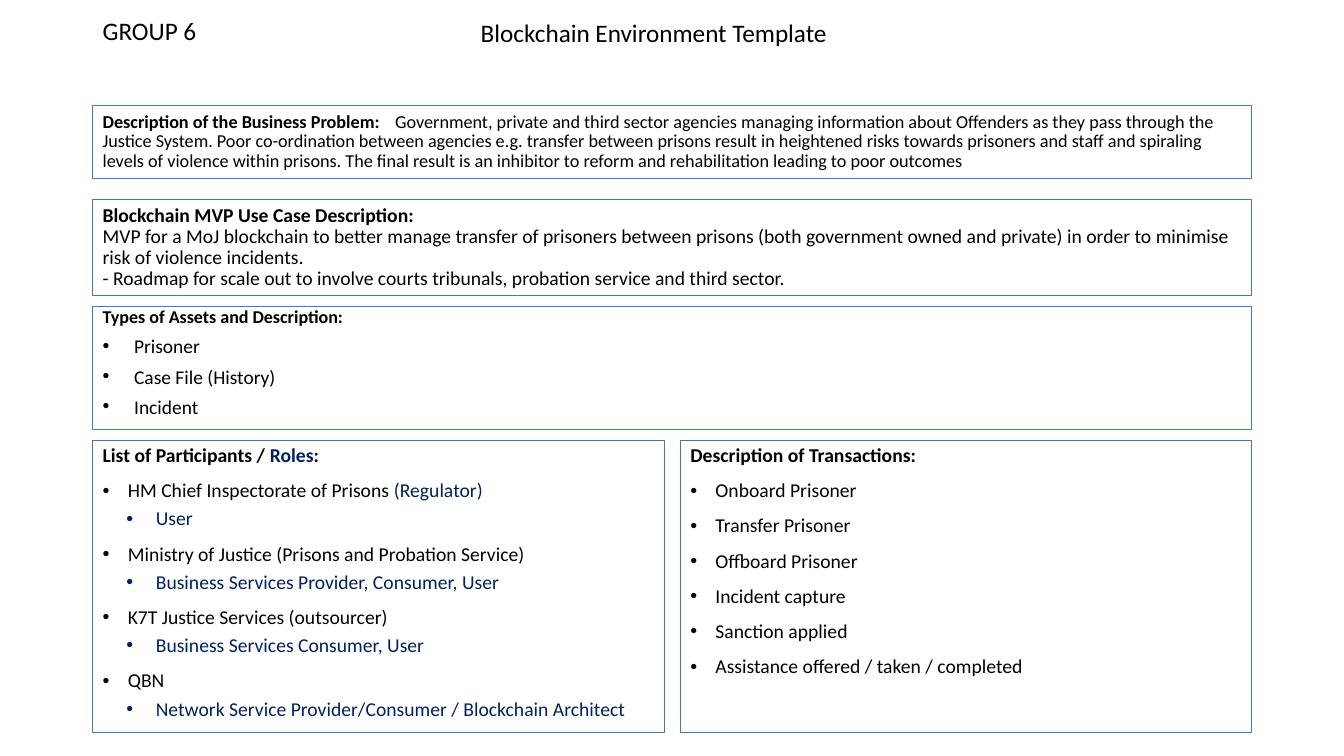
from lxml import etree
from pptx import Presentation
from pptx import util as u
from pptx.dml.color import RGBColor
from pptx.enum import shapes, text
from pptx.oxml.ns import qn

BLACK, NAVY, BLUE = "000000", "002060", "4472C4"
LEFT, WIDTH, GAP = 66.25, 828, 11.5
HALF = (WIDTH - GAP) / 2


def tint(code):
    """Turn a hex string into a colour."""
    return RGBColor.from_string(code)


def add_para(frame, runs, size, bold=False, before=0, lines=0.9, hang=None, level=0):
    """Add a paragraph of (text, colour, bold) runs; hang is (margin, indent)."""
    para = frame.paragraphs[0]
    if para.runs:
        para = frame.add_paragraph()
    para.level = level
    para.alignment = text.PP_ALIGN.LEFT
    para.line_spacing = lines
    para.space_before = u.Pt(before)
    para.font.name = "Calibri"
    para.font.size = u.Pt(size)
    para.font.bold = bold
    para.font.color.rgb = tint(BLACK)
    for words, color, heavy in runs:
        run = para.add_run()
        run.text = words
        if color != BLACK:
            run.font.color.rgb = tint(color)
        if heavy != bold:
            run.font.bold = heavy
    if hang:
        props = para._p.get_or_add_pPr()
        props.set("marL", str(u.Pt(hang[0])))
        props.set("indent", str(u.Pt(-hang[1])))
        etree.SubElement(props, qn("a:buFont")).set("typeface", "Arial")
        etree.SubElement(props, qn("a:buChar")).set("char", "•")
    return para


def add_head(frame, words, size, **style):
    """Add a bold black heading."""
    return add_para(frame, [(words, BLACK, True)], size, bold=True, **style)


def add_panel(slide, box, anchor=text.MSO_ANCHOR.TOP):
    """Draw an outlined panel and return its text frame."""
    panel = slide.shapes.add_shape(shapes.MSO_SHAPE.RECTANGLE, *map(u.Pt, box))
    panel.shadow.inherit = False
    panel.fill.background()
    panel.line.color.rgb = tint(BLUE)
    panel.line.width = u.Pt(0.75)
    frame = panel.text_frame
    frame.word_wrap = True
    frame.vertical_anchor = anchor
    return frame


def add_label(slide, box, words, align):
    """Place a line of large text."""
    frame = slide.shapes.add_textbox(*map(u.Pt, box)).text_frame
    frame.word_wrap = True
    para = add_para(frame, [(words, BLACK, False)], 18, lines=1.0)
    para.alignment = align


def add_problem(slide, box):
    """Place the business problem, its body tabbed off the heading."""
    frame = add_panel(slide, box, text.MSO_ANCHOR.MIDDLE)
    body = (
        "Government, private and third sector agencies managing information about "
        "Offenders as they pass through the Justice System. Poor co-ordination between "
        "agencies e.g. transfer between prisons result in heightened risks towards "
        "prisoners and staff and spiraling levels of violence within prisons. The final "
        "result is an inhibitor to reform and rehabilitation leading to poor outcomes"
    )
    runs = [("Description of the Business Problem:\t", BLACK, True), (body, BLACK, False)]
    para = add_para(frame, runs, 13)
    tabs = etree.SubElement(para._p.get_or_add_pPr(), qn("a:tabLst"))
    stop = etree.SubElement(tabs, qn("a:tab"))
    stop.set("pos", str(u.Pt(209)))
    stop.set("algn", "l")


def add_case(slide, box):
    """Place the use case description."""
    frame = add_panel(slide, box, text.MSO_ANCHOR.MIDDLE)
    add_head(frame, "Blockchain MVP Use Case Description:", 14)
    for words in (
        "MVP for a MoJ blockchain to better manage transfer of prisoners between prisons "
        "(both government owned and private) in order to minimise risk of violence incidents.",
        "- Roadmap for scale out to involve courts tribunals, probation service and third sector.",
    ):
        add_para(frame, [(words, BLACK, False)], 14)


def add_assets(slide, box):
    """Place the list of assets."""
    frame = add_panel(slide, box)
    add_head(frame, "Types of Assets and Description:", 12.9, before=10, lines=0.7)
    for words in ("Prisoner", "Case File (History)", "Incident"):
        add_para(frame, [(words, BLACK, False)], 13.9, before=10, lines=0.7, hang=(22.5, 22.5))


def add_roles(slide, box):
    """Place the participants, each with its roles beneath."""
    frame = add_panel(slide, box)
    head = [("List of Participants / ", BLACK, True), ("Roles", NAVY, True), (":", BLACK, True)]
    add_para(frame, head, 14, bold=True, before=10)
    for name, note, role in (
        ("HM Chief Inspectorate of Prisons ", "(Regulator)", "User"),
        ("Ministry of Justice (Prisons and Probation Service)", "",
         "Business Services Provider, Consumer, User"),
        ("K7T Justice Services (outsourcer)", "", "Business Services Consumer, User"),
        ("QBN", "", "Network Service Provider/Consumer / Blockchain Architect"),
    ):
        runs = [(name, BLACK, False)]
        if note:
            runs.append((note, NAVY, False))
        add_para(frame, runs, 14, before=10, hang=(18, 18))
        add_para(frame, [(role, NAVY, False)], 14, before=5, hang=(38, 21), level=1)


def add_deals(slide, box):
    """Place the list of transactions."""
    frame = add_panel(slide, box)
    add_head(frame, "Description of Transactions:", 14, before=10)
    for words in (
        "Onboard Prisoner", "Transfer Prisoner", "Offboard Prisoner",
        "Incident capture", "Sanction applied", "Assistance offered / taken / completed",
    ):
        add_para(frame, [(words, BLACK, False)], 14, before=10, hang=(18, 18))


def main():
    """Build and save the slide."""
    deck = Presentation()
    deck.slide_width, deck.slide_height = u.Pt(960), u.Pt(540)
    slide = deck.slides.add_slide(deck.slide_layouts[6])
    add_label(slide, (LEFT, 7.5, 232, 29), "GROUP 6", text.PP_ALIGN.LEFT)
    add_label(slide, (322, 9, 290, 29), "Blockchain Environment Template", text.PP_ALIGN.CENTER)
    add_problem(slide, (LEFT, 75.5, WIDTH, 52))
    add_case(slide, (LEFT, 142.5, WIDTH, 68.5))
    add_assets(slide, (LEFT, 219, WIDTH, 88))
    add_roles(slide, (LEFT, 314.75, HALF, 208.5))
    add_deals(slide, (LEFT + HALF + GAP, 314.75, HALF, 208.5))
    deck.save("out.pptx")


if __name__ == "__main__":
    main()
